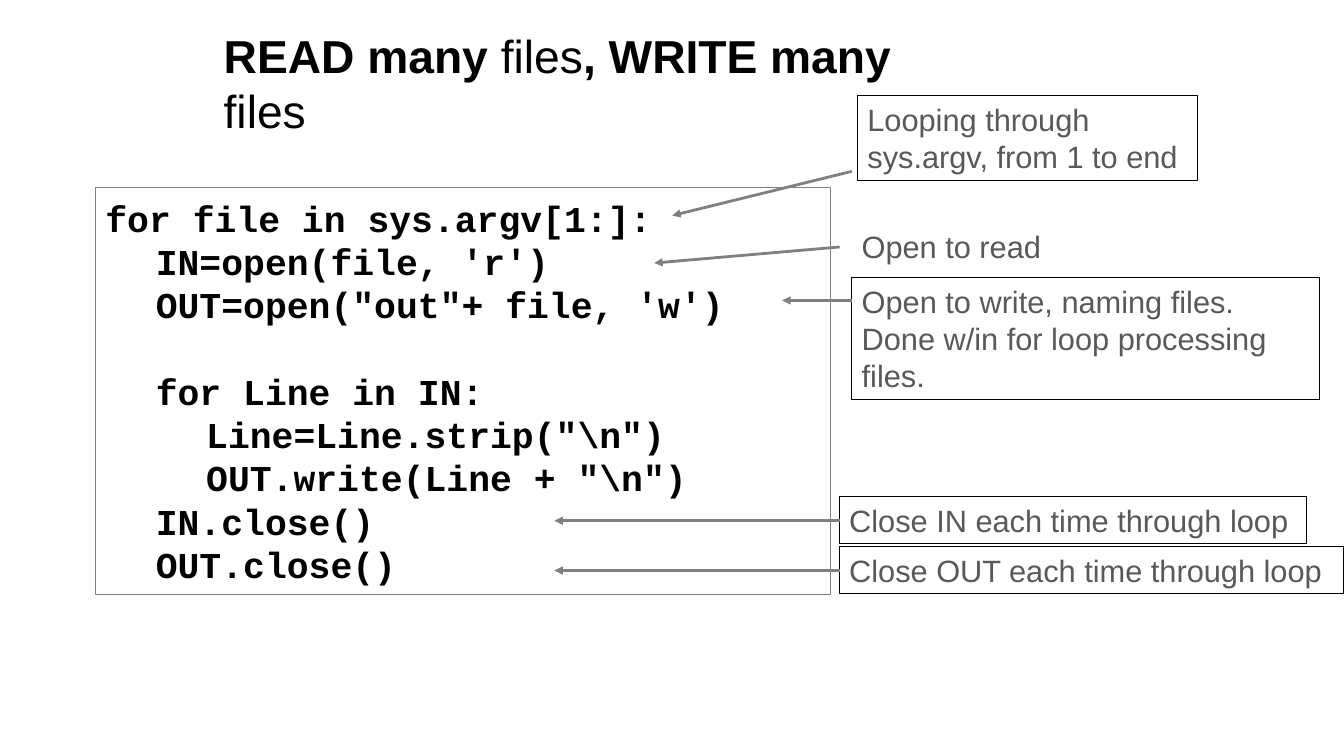
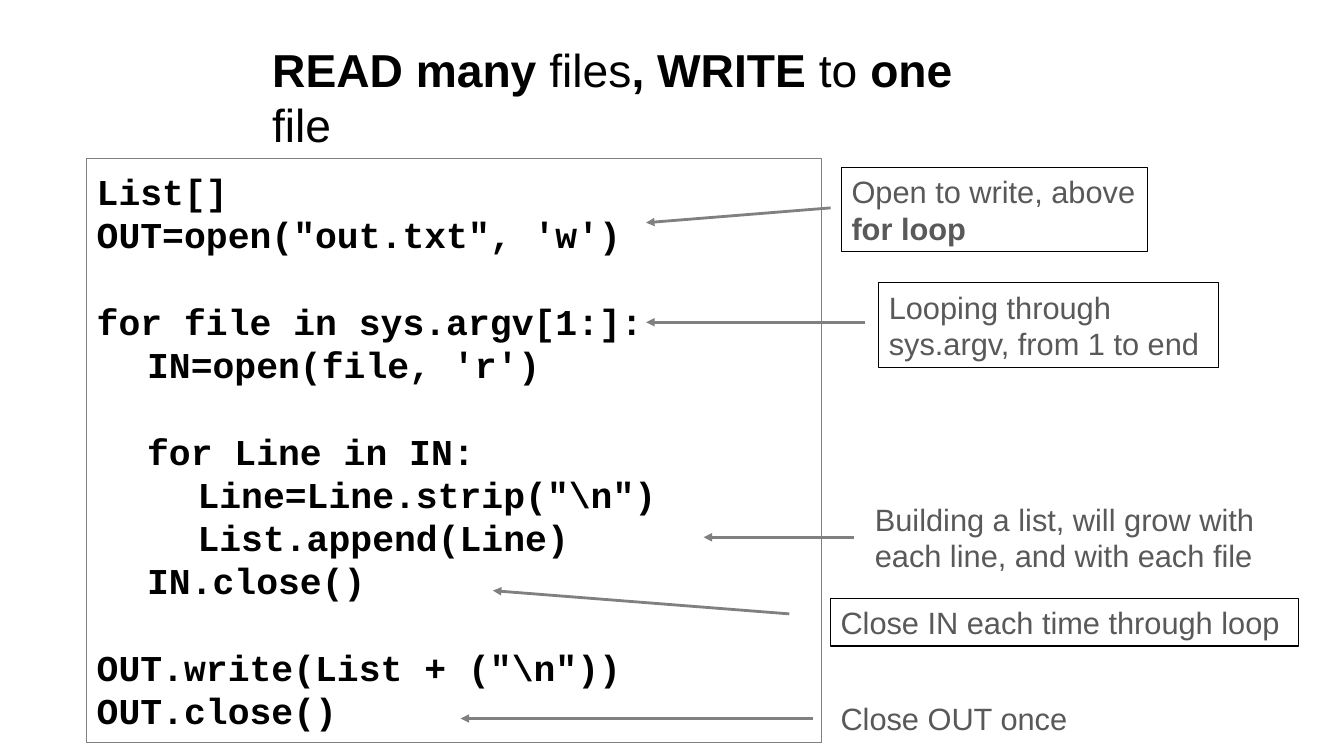
from dataclasses import dataclass

from lxml.etree import SubElement
from pptx import Presentation
from pptx.dml.color import RGBColor
from pptx.enum.shapes import MSO_CONNECTOR, MSO_SHAPE
from pptx.enum.text import MSO_ANCHOR, MSO_AUTO_SIZE, PP_ALIGN
from pptx.oxml.ns import qn
from pptx.util import Pt

BLACK = "000000"
GREY = "808080"
NOTE_GREY = "595959"
LINE_RATIO = 1.19
CODE_WIDTH = 525


@dataclass(frozen=True)
class Note:
    """A remark beside the code, with or without a frame."""
    text: str
    left: float
    top: float
    width: float
    height: float
    framed: bool = True


@dataclass(frozen=True)
class Arrow:
    """An arrow from a remark to a line of code."""
    x1: float
    y1: float
    x2: float
    y2: float


@dataclass(frozen=True)
class Lesson:
    """The content of one page; asterisks enclose bold words."""
    title: str
    title_place: tuple[float, float, float, float]
    code: str
    code_place: tuple[float, float, float, float]
    notes: tuple[Note, ...]
    arrows: tuple[Arrow, ...]


LESSONS = (
    Lesson(
        title="*READ many* files*, WRITE many* files",
        title_place=(152.6, 16, 541.5, 47.5),
        code=r"""for file in sys.argv[1:]:
	IN=open(file, 'r')
	OUT=open("out"+ file, 'w')

	for Line in IN:
		Line=Line.strip("\n")
		OUT.write(Line + "\n")
	IN.close()
	OUT.close()""",
        code_place=(68.2, 133.9, CODE_WIDTH, 290.9),
        notes=(
            Note("Looping through sys.argv, from 1 to end", 612.5, 68.4, 242.6, 60.5),
            Note("Open to read", 608.4, 159.1, 242.6, 33.8, framed=False),
            Note("Open to write, naming files. Done w/in for loop processing files.",
                 608.4, 198, 334, 87.1),
            Note("Close IN each time through loop", 599.5, 354.8, 334, 33.8),
            Note("Close OUT each time through loop", 599.5, 390.4, 360.5, 33.8),
        ),
        arrows=(
            Arrow(608.4, 122.4, 480.2, 154),
            Arrow(599.8, 176.4, 467.3, 187.9),
            Arrow(608.4, 214.6, 558.7, 214.6),
            Arrow(599.8, 372, 396, 372),
            Arrow(599.8, 407.5, 396, 407.5),
        ),
    ),
    Lesson(
        title="*READ many* files*, WRITE *to *one* file",
        title_place=(187.2, 26, 535.7, 47.5),
        code=r"""List[]
OUT=open("out.txt", 'w')

for file in sys.argv[1:]:
	IN=open(file, 'r')

	for Line in IN:
		Line=Line.strip("\n")
		List.append(Line)
	IN.close()

OUT.write(List + ("\n"))
OUT.close()""",
        code_place=(62, 113.5, CODE_WIDTH, 416.9),
        notes=(
            Note("Open to write, above *for loop*", 601.2, 119.5, 218.2, 60.5),
            Note("Looping through sys.argv, from 1 to end", 627.8, 202.1, 242.6, 60.5),
            Note("Building a list, will grow with each line, and with each file",
                 617.8, 353.5, 334, 60.5, framed=False),
            Note("Close IN each time through loop", 593.3, 427.7, 334, 33.8),
            Note("Close OUT once", 593.3, 496.1, 360.7, 33.8, framed=False),
        ),
        arrows=(
            Arrow(593.3, 148.5, 461.5, 159.1),
            Arrow(617.8, 230.2, 461.5, 230.2),
            Arrow(609.8, 383.8, 502.6, 383.8),
            Arrow(563.8, 438.5, 352.1, 421.9),
            Arrow(581, 513.2, 329, 513.2),
        ),
    ),
)


def color(value: str) -> RGBColor:
    """Turn a hex string into a colour."""
    return RGBColor.from_string(value)


def write(box, text: str, *, size: float, font: str = "Arial", ink: str = BLACK,
          bold: bool = False, anchor=MSO_ANCHOR.MIDDLE) -> None:
    """Write text into a box; an empty line becomes space before the next."""
    frame = box.text_frame
    frame.word_wrap = True
    frame.auto_size = MSO_AUTO_SIZE.NONE
    frame.vertical_anchor = anchor
    frame.margin_left = frame.margin_right = Pt(7.2)
    frame.margin_top = frame.margin_bottom = Pt(3.6)
    pitch = Pt(round(size * LINE_RATIO, 1))
    para, gap = frame.paragraphs[0], 0
    for index, line in enumerate(text.split("\n")):
        if not line:
            gap += pitch
            continue
        if index:
            para = frame.add_paragraph()
        para.alignment = PP_ALIGN.LEFT
        para.line_spacing = pitch
        para.space_before, gap = gap, 0
        for position, words in enumerate(line.split("*")):
            if words:
                span = para.add_run()
                span.text = words
                span.font.name = font
                span.font.size = Pt(size)
                span.font.bold = bold or position % 2 == 1
                span.font.color.rgb = color(ink)


def add_frame(page, place: tuple[float, float, float, float], line: str):
    """Add an unfilled outlined rectangle."""
    box = page.shapes.add_shape(MSO_SHAPE.RECTANGLE, *map(Pt, place))
    box.shadow.inherit = False
    box.fill.background()
    box.line.color.rgb = color(line)
    box.line.width = Pt(0.75)
    return box


def add_note(page, note: Note) -> None:
    """Add one remark."""
    place = (note.left, note.top, note.width, note.height)
    if note.framed:
        box = add_frame(page, place, BLACK)
    else:
        box = page.shapes.add_textbox(*map(Pt, place))
    write(box, note.text, size=22, ink=NOTE_GREY)


def add_arrow(page, arrow: Arrow) -> None:
    """Add one grey arrow."""
    ends = map(Pt, (arrow.x1, arrow.y1, arrow.x2, arrow.y2))
    connector = page.shapes.add_connector(MSO_CONNECTOR.STRAIGHT, *ends)
    connector.line.color.rgb = color(GREY)
    connector.line.width = Pt(2)
    SubElement(connector.line._get_or_add_ln(), qn("a:tailEnd"), type="triangle")
    SubElement(connector._element.spPr, qn("a:effectLst"))


def add_lesson(deck, lesson: Lesson) -> None:
    """Add one page with its title, code, remarks and arrows."""
    page = deck.slides.add_slide(deck.slide_layouts.get_by_name("Title Only"))
    title = page.shapes.title
    title.left, title.top, title.width, title.height = map(Pt, lesson.title_place)
    write(title, lesson.title, size=33, anchor=MSO_ANCHOR.TOP)
    code = add_frame(page, lesson.code_place, GREY)
    write(code, lesson.code, size=26, font="Courier New", bold=True)
    for note in lesson.notes:
        add_note(page, note)
    for arrow in lesson.arrows:
        add_arrow(page, arrow)


def main() -> None:
    """Build and save the deck."""
    deck = Presentation()
    deck.slide_width, deck.slide_height = Pt(960), Pt(540)
    for lesson in LESSONS:
        add_lesson(deck, lesson)
    deck.save("out.pptx")


if __name__ == "__main__":
    main()
